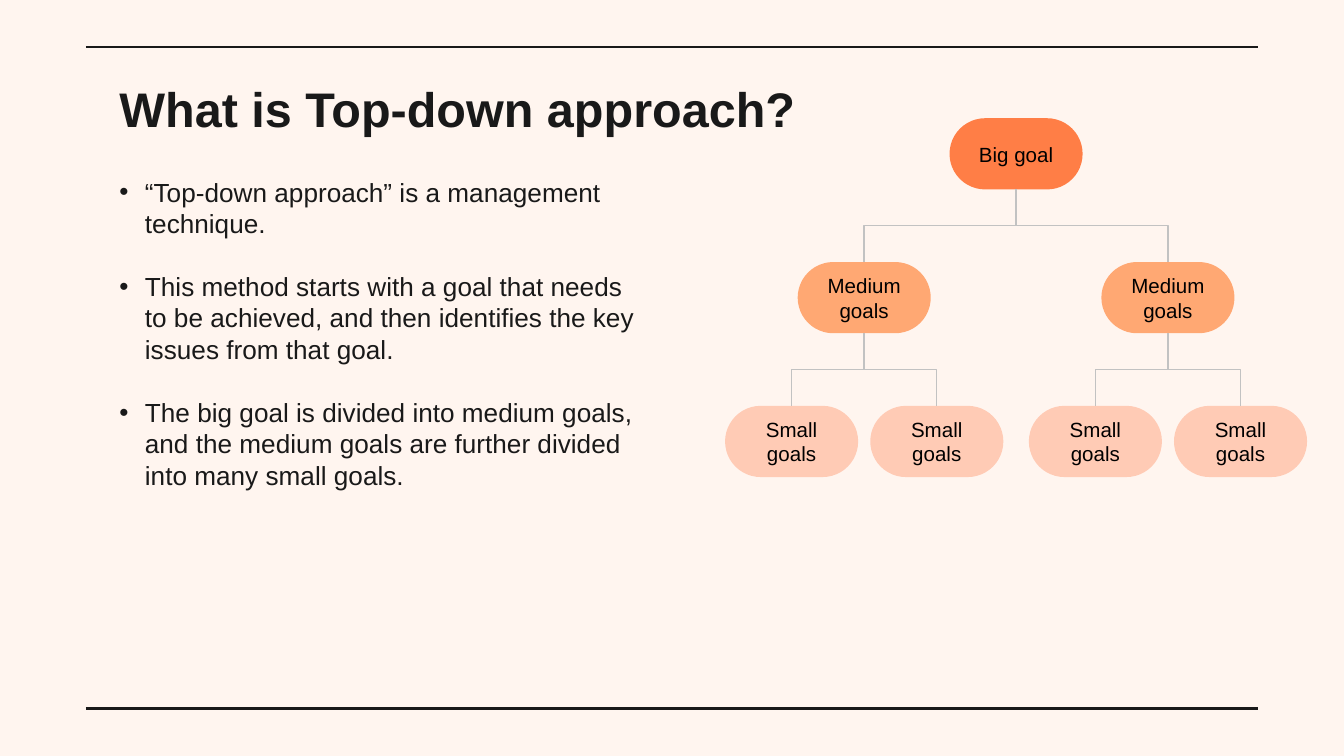
import pptx
import pptx.util
import pptx.dml.color
import pptx.enum.shapes
import pptx.enum.text
import lxml.etree

Inches = pptx.util.Inches
Pt = pptx.util.Pt
KIND = pptx.enum.shapes.MSO_CONNECTOR
ALIGN = pptx.enum.text.PP_ALIGN
ANCHOR = pptx.enum.text.MSO_ANCHOR


def color(code):
    return pptx.dml.color.RGBColor.from_string(code)


def add_tag(parent, name, **attrs):
    return lxml.etree.SubElement(parent, pptx.oxml.ns.qn(name), attrs)


class Page:
    """Holds the style and the current slide."""

    font = "Arial"
    ink = "191919"
    rule = "C2C2C2"

    def __init__(self, slide, back):
        self.slide = slide
        self.shapes = slide.shapes
        fill = slide.background.fill
        fill.solid()
        fill.fore_color.rgb = color(back)

    def style(self, par, text, size, code, bold=False):
        par.text = text
        par.font.name = self.font
        par.font.size = Pt(size)
        par.font.bold = bold
        par.font.color.rgb = color(code)

    def inset(self, frame, anchor):
        frame.word_wrap = True
        frame.vertical_anchor = anchor
        frame.margin_left = frame.margin_right = Inches(0.1)
        frame.margin_top = frame.margin_bottom = Inches(0.1)

    def text(self, box, lines, size, bold=False, bullet=False, gap=0):
        frame = self.shapes.add_textbox(*map(Inches, box)).text_frame
        self.inset(frame, ANCHOR.TOP)
        for i, line in enumerate(lines):
            par = frame.paragraphs[0] if i == 0 else frame.add_paragraph()
            self.style(par, line, size, self.ink, bold)
            if i < len(lines) - 1:
                par.space_after = Pt(gap)
            if bullet:
                self.bullet(par)

    def bullet(self, par):
        props = par._p.get_or_add_pPr()
        props.set("marL", str(Inches(0.19)))
        props.set("indent", str(-Inches(0.19)))
        mark = pptx.oxml.ns.qn("a:defRPr")
        last = props.find(mark)
        tint = add_tag(props, "a:buClr")
        add_tag(tint, "a:srgbClr", val=self.ink)
        add_tag(props, "a:buFont", typeface=self.font)
        add_tag(props, "a:buChar", char="•")
        if last is not None:
            props.append(last)

    def pill(self, mid, top, text, code):
        wide, high = 0.99, 0.53
        shape = self.shapes.add_shape(
            pptx.enum.shapes.MSO_SHAPE.ROUNDED_RECTANGLE,
            Inches(mid - wide / 2), Inches(top), Inches(wide), Inches(high))
        shape.adjustments[0] = 0.5
        shape.shadow.inherit = False
        shape.fill.solid()
        shape.fill.fore_color.rgb = color(code)
        shape.line.fill.background()
        self.inset(shape.text_frame, ANCHOR.MIDDLE)
        par = shape.text_frame.paragraphs[0]
        self.style(par, text, 11, "000000")
        par.alignment = ALIGN.CENTER
        return shape

    def line(self, kind, ends, code, width):
        line = self.shapes.add_connector(kind, *ends)
        line.line.color.rgb = color(code)
        line.line.width = Pt(width)
        add_tag(line._element.spPr, "a:effectLst")
        return line

    def branch(self, head, child):
        """Elbow from the bottom of head to the top of child."""
        x1, y1 = head.left + head.width // 2, head.top + head.height
        x2, y2 = child.left + child.width // 2, child.top
        line = self.line(KIND.ELBOW, (x1, y1, x2, y2), self.rule, 0.75)
        right = x2 > x1
        if right:
            line.begin_connect(head, 2)
            line.end_connect(child, 0)
        else:
            line.begin_connect(child, 0)
            line.end_connect(head, 2)
        # A quarter turn makes the elbow leave downwards
        mid_x, mid_y = (x1 + x2) // 2, (y1 + y2) // 2
        half_w, half_h = (y2 - y1) // 2, abs(x2 - x1) // 2
        side = half_w if right else -half_w
        line.begin_x, line.end_x = mid_x + side, mid_x - side
        line.begin_y, line.end_y = mid_y - half_h, mid_y + half_h
        line.rotation = 270


def main():
    deck = pptx.Presentation()
    # Widescreen, 16 to 9
    deck.slide_width, deck.slide_height = Inches(10), Inches(10 * 9 / 16)
    page = Page(deck.slides.add_slide(deck.slide_layouts[6]), "FFF5EF")

    # Frame lines
    for y in (0.35, 5.27):
        ends = map(Inches, (0.64, y, 9.36, y))
        page.line(KIND.STRAIGHT, ends, page.ink, 1.5)

    # Title and bullets
    page.text((0.79, 0.49, 5.43, 0.72), ["What is Top-down approach?"],
              26, bold=True)
    page.text((0.79, 1.21, 4.13, 2.76), [
        "“Top-down approach” is a management technique.",
        "This method starts with a goal that needs to be achieved, "
        "and then identifies the key issues from that goal.",
        "The big goal is divided into medium goals, and the medium goals "
        "are further divided into many small goals.",
    ], 14, bullet=True, gap=17)

    # Goal tree
    root, step, mid = 0.88, 1.07, 7.56
    big = page.pill(mid, root, "Big goal", "FF7E46")
    links = []
    for side in (1, -1):
        x = mid + side * 1.13
        medium = page.pill(x, root + step, "Medium goals", "FFA873")
        links.append((big, medium))
        for part in (1, -1):
            small = page.pill(x + part * 0.54, root + 2 * step,
                              "Small goals", "FFCBB5")
            links.append((medium, small))
    for head, child in links:
        page.branch(head, child)

    deck.save("out.pptx")


if __name__ == "__main__":
    main()
